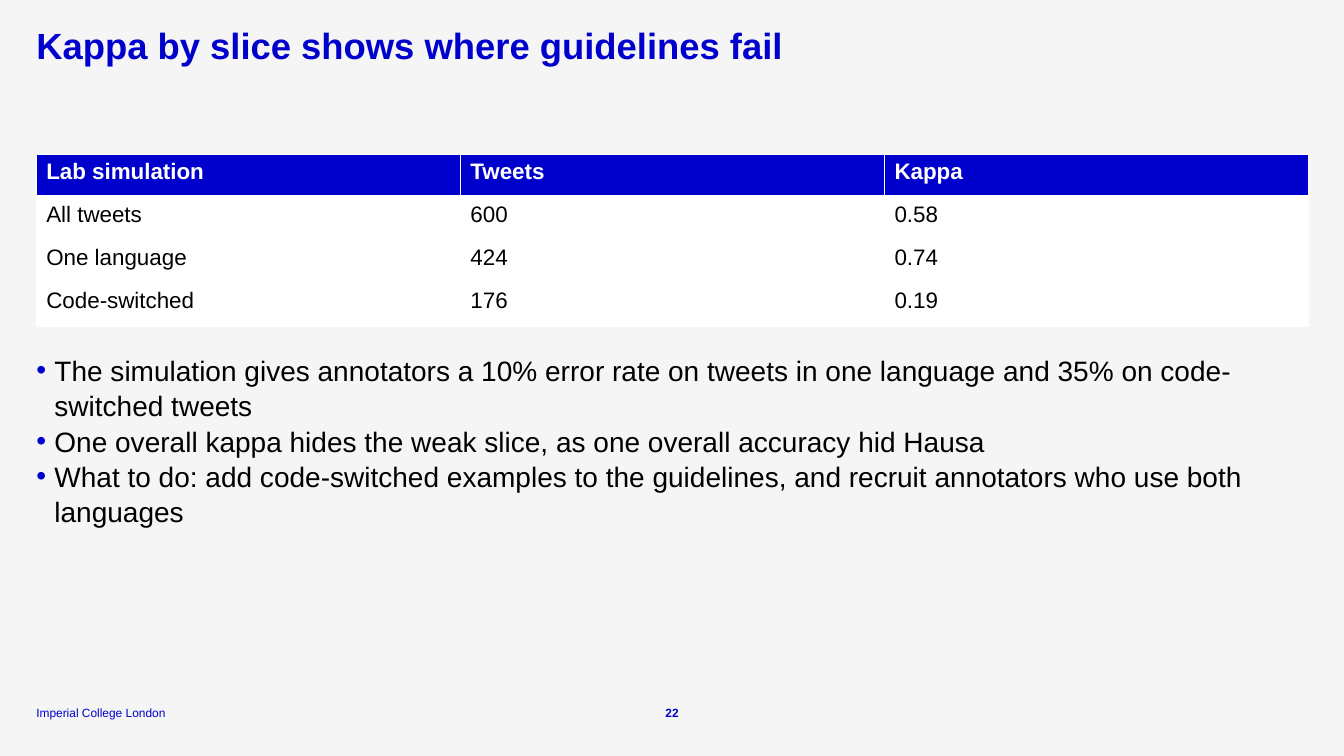
from lxml.etree import SubElement
from pptx import Presentation
from pptx.dml.color import RGBColor
from pptx.enum.text import MSO_ANCHOR, MSO_AUTO_SIZE, PP_ALIGN
from pptx.oxml import parse_xml
from pptx.oxml.ns import nsdecls, qn
from pptx.util import Inches, Pt

COLORS = {"blue": "0000CD", "white": "FFFFFF", "black": "000000", "paper": "F5F5F5"}
FONT = "Arial"
MARGIN, CONTENT_WIDTH = 0.36, 12.62
FOOTER_TOP, FOOTER_HEIGHT = 6.99, 0.15

ROWS = [
    ("Lab simulation", "Tweets", "Kappa"),
    ("All tweets", "600", "0.58"),
    ("One language", "424", "0.74"),
    ("Code-switched", "176", "0.19"),
]
BULLETS = [
    "The simulation gives annotators a 10% error rate on tweets in one language "
    "and 35% on code-switched tweets",
    "One overall kappa hides the weak slice, as one overall accuracy hid Hausa",
    "What to do: add code-switched examples to the guidelines, and recruit "
    "annotators who use both languages",
]


def rgb(name):
    return RGBColor.from_string(COLORS[name])


class SlideBuilder:
    def __init__(self, slide):
        self.slide = slide
        fill = slide.background.fill
        fill.solid()
        fill.fore_color.rgb = rgb("paper")

    def place(self, sp, left, top, width, height):
        box = {"left": left, "top": top, "width": width, "height": height}
        for name, value in box.items():
            setattr(sp, name, Inches(value))

    def frame(self, sp, anchor):
        """Give a shape's text frame zero insets, wrapping and a fixed size."""
        tf = sp.text_frame
        style = {"margin_left": 0, "margin_top": 0, "margin_right": 0,
                 "margin_bottom": 0, "word_wrap": True,
                 "auto_size": MSO_AUTO_SIZE.NONE, "vertical_anchor": anchor}
        for name, value in style.items():
            setattr(tf, name, value)
        return tf

    def add_text(self, p, text, size, color, bold=False, **paragraph_format):
        for name, value in paragraph_format.items():
            setattr(p, name, value)
        r = p.add_run()
        r.text = text
        for name, value in {"name": FONT, "size": Pt(size), "bold": bold}.items():
            setattr(r.font, name, value)
        r.font.color.rgb = rgb(color)

    def title(self, text):
        sp = self.slide.shapes.title
        self.place(sp, MARGIN, 0.28, CONTENT_WIDTH, 0.41)
        tf = self.frame(sp, MSO_ANCHOR.TOP)
        self.add_text(tf.paragraphs[0], text, 26, "blue", True,
                      alignment=PP_ALIGN.LEFT, line_spacing=0.9)

    def bullets(self, items):
        sp = self.slide.placeholders[1]
        self.place(sp, MARGIN, 3.49, CONTENT_WIDTH, 2.21)
        tf = self.frame(sp, MSO_ANCHOR.TOP)
        for i, item in enumerate(items):
            p = tf.add_paragraph() if i else tf.paragraphs[0]
            pPr = p._p.get_or_add_pPr()
            pPr.set("marL", str(Inches(0.18)))
            pPr.set("indent", str(Inches(-0.18)))
            color = SubElement(pPr, qn("a:buClr"))
            SubElement(color, qn("a:srgbClr"), val=COLORS["blue"])
            SubElement(pPr, qn("a:buChar"), char="•")
            self.add_text(p, item, 20, "black", level=1, line_spacing=1.05,
                          space_before=Pt(0), space_after=Pt(0))

    def label(self, text, left, width, bold=False, align=PP_ALIGN.LEFT):
        sp = self.slide.shapes.add_textbox(
            Inches(left), Inches(FOOTER_TOP), Inches(width), Inches(FOOTER_HEIGHT))
        tf = self.frame(sp, MSO_ANCHOR.BOTTOM)
        self.add_text(tf.paragraphs[0], text, 8.5, "blue", bold, alignment=align)

    def borders(self, cell, bottom):
        tcPr = cell._tc.get_or_add_tcPr()
        widths = {"lnL": 1, "lnR": 1, "lnT": 1, "lnB": bottom}
        for i, (side, width) in enumerate(widths.items()):
            tcPr.insert(i, parse_xml(
                f'<a:{side} {nsdecls("a")} w="{Pt(width)}"><a:solidFill>'
                f'<a:srgbClr val="{COLORS["white"]}"/></a:solidFill></a:{side}>'))

    def table(self, rows):
        table = self.slide.shapes.add_table(
            len(rows), len(rows[0]), Inches(MARGIN), Inches(1.53),
            Inches(CONTENT_WIDTH), Inches(1.71)).table
        for i, row in enumerate(rows):
            header = i == 0
            for j, text in enumerate(row):
                cell = table.cell(i, j)
                cell.fill.solid()
                cell.fill.fore_color.rgb = rgb("blue" if header else "white")
                if header:
                    self.borders(cell, bottom=3)
                self.add_text(cell.text_frame.paragraphs[0], text, 16,
                              "white" if header else "black", header)


def main():
    prs = Presentation()
    prs.slide_width, prs.slide_height = Inches(13.33), Inches(7.5)
    s = SlideBuilder(prs.slides.add_slide(prs.slide_layouts[1]))
    s.title("Kappa by slice shows where guidelines fail")
    s.table(ROWS)
    s.bullets(BULLETS)
    s.label("Imperial College London", MARGIN, 1.55)
    s.label("22", 6.49, 0.35, bold=True, align=PP_ALIGN.CENTER)
    prs.save("out.pptx")


if __name__ == "__main__":
    main()
